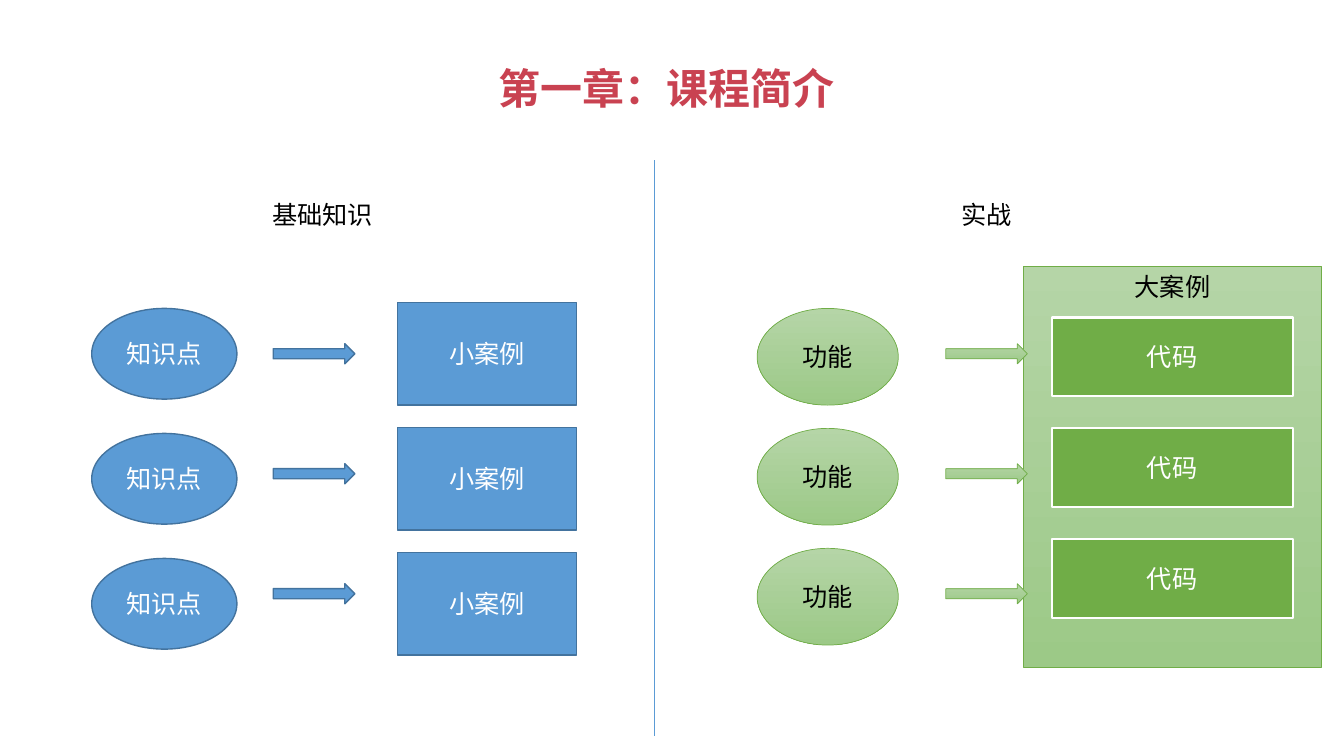
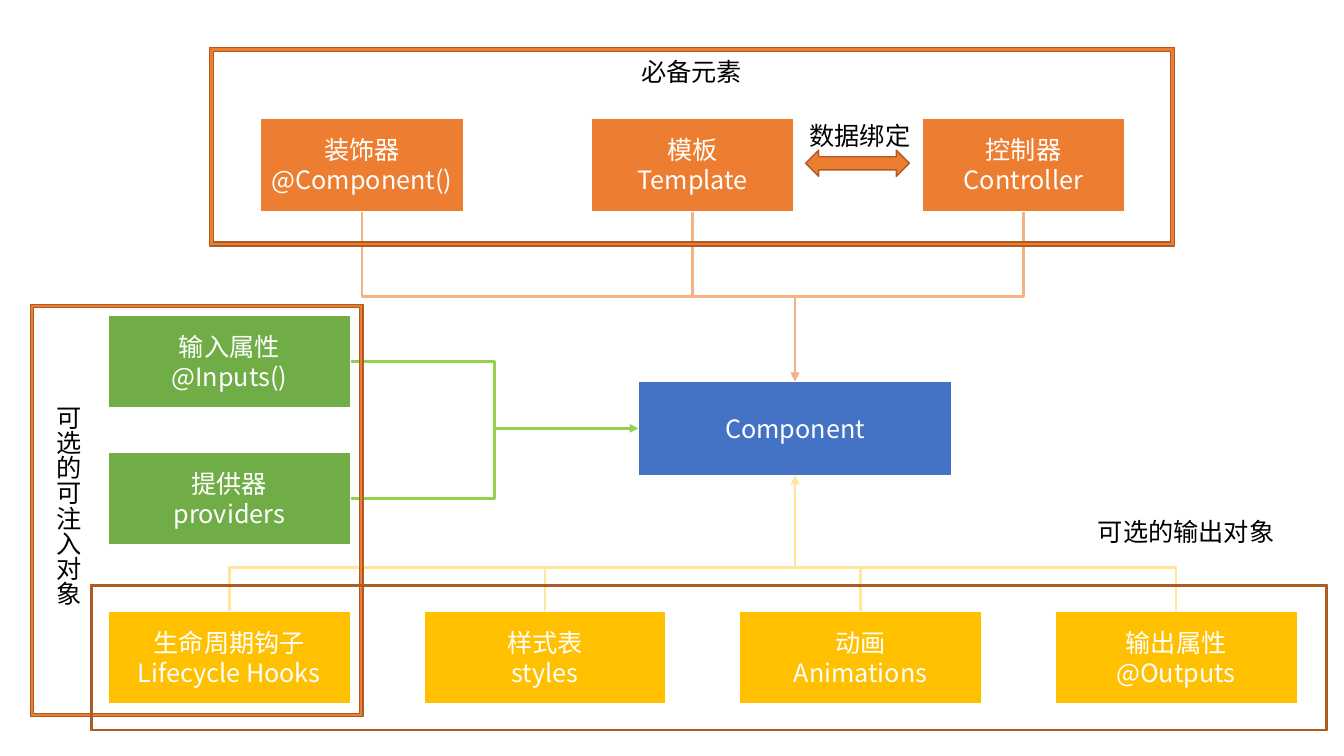
"""Build a course introduction slide and a component structure slide."""
import pptx
import pptx.util
from lxml import etree
from pptx.dml.color import RGBColor
from pptx.enum.shapes import MSO_CONNECTOR, MSO_SHAPE
from pptx.enum.text import MSO_ANCHOR, PP_ALIGN
from pptx.oxml.ns import qn

PX = 9144
FONT = "Noto Sans CJK SC"
TITLE_ONLY, BLANK = 5, 6
TOP, LEFT, BOTTOM, RIGHT = range(4)

WHITE = RGBColor(0xFF, 0xFF, 0xFF)
BLACK = RGBColor(0x00, 0x00, 0x00)
TITLE_RED = RGBColor(0xC9, 0x42, 0x51)
BLUE = RGBColor(0x5B, 0x9B, 0xD5)
BLUE_EDGE = RGBColor(0x43, 0x73, 0x9E)
ROYAL = RGBColor(0x44, 0x72, 0xC4)
GREEN = RGBColor(0x70, 0xAD, 0x47)
PALE_GREEN = (RGBColor(0xB5, 0xD5, 0xA7), RGBColor(0x9C, 0xC9, 0x87))
LIME = RGBColor(0x92, 0xD0, 0x50)
GOLD = RGBColor(0xFF, 0xC0, 0x00)
PALE_GOLD = RGBColor(0xFF, 0xE6, 0x99)
ORANGE = RGBColor(0xED, 0x7D, 0x31)
ORANGE_EDGE = RGBColor(0xAF, 0x5C, 0x24)
PALE_ORANGE = RGBColor(0xF4, 0xB1, 0x83)

BLUE_STYLE = (BLUE, BLUE_EDGE, 1, WHITE)
GRADIENT_STYLE = (PALE_GREEN, GREEN, 0.5, BLACK)
CODE_STYLE = (GREEN, WHITE, 1.5, WHITE)
ORANGE_STYLE = (ORANGE, ORANGE_EDGE, 1, WHITE)

TITLE = ("第一章：课程简介", (483, 57, 357, 61))
DIVIDER = (649, 159, 649, 730)
HEADINGS = [("基础知识", (260, 193, 121, 40)), ("实战", (944, 193, 71, 40))]
CASE_PANEL = ("大案例", (1015, 264, 296, 398))
ROWS = 3
COLUMNS = [
    (MSO_SHAPE.OVAL, "知识点", (91, 306, 144, 90), 124, BLUE_STYLE),
    (MSO_SHAPE.RECTANGLE, "小案例", (394, 300, 178, 102), 124, BLUE_STYLE),
    (MSO_SHAPE.RIGHT_ARROW, "", (271, 341, 81, 20), 119, BLUE_STYLE),
    (MSO_SHAPE.OVAL, "功能", (751, 306, 140, 96), 119, GRADIENT_STYLE),
    (MSO_SHAPE.RECTANGLE, "代码", (1043, 315, 239, 78), 110, CODE_STYLE),
    (MSO_SHAPE.RIGHT_ARROW, "", (938, 341, 81, 20), 119, GRADIENT_STYLE),
]

COMPONENT = ("Component", (633, 378, 311, 94))
GROUPS = [
    {"texts": ["输入属性\n@Inputs()", "提供器\nproviders"],
     "first": (107, 312, 241, 93), "step": (0, 136), "fill": GREEN,
     "line": LIME, "sites": (RIGHT, LEFT), "bend": 0.5},
    {"texts": ["生命周期钩子\nLifecycle Hooks", "样式表\nstyles",
               "动画\nAnimations", "输出属性\n@Outputs"],
     "first": (107, 606, 241, 93), "step": (313, 0), "fill": GOLD,
     "line": PALE_GOLD, "sites": (BOTTOM, TOP)[::-1], "bend": 0.32},
    {"texts": ["装饰器\n@Component()", "模板\nTemplate", "控制器\nController"],
     "first": (258, 117, 202, 93), "step": (328, 0), "fill": ORANGE,
     "line": PALE_ORANGE, "sites": (BOTTOM, TOP), "bend": 0.5},
]
FRAMES = [((30, 302, 330, 409), 0.01), ((90, 580, 1226, 145), 0.01),
          ((208, 47, 957, 197), 0.02)]
BINDING_ARROW = (799, 149, 103, 26)
LABELS = [("必备元素", (626, 51, 121, 40), False),
          ("数据绑定", (793, 114, 121, 40), False),
          ("可选的输出对象", (1079, 507, 197, 40), False),
          ("可选的可注入对象", (38, 392, 50, 212), True)]


def to_emu(box):
    return [value * PX for value in box]


def write(frame, text, color, size=18, bold=False, align=PP_ALIGN.CENTER):
    for index, line in enumerate(text.split("\n")):
        paragraph = frame.paragraphs[0] if index == 0 else frame.add_paragraph()
        paragraph.alignment = align
        run = paragraph.add_run()
        run.text = line
        run.font.size = pptx.util.Pt(size)
        run.font.bold = bold
        run.font.color.rgb = color
        run.font.name = FONT
        east_asian = etree.SubElement(run.font._element, qn("a:ea"))
        east_asian.set("typeface", FONT)


def add_label(slide, text, box, vertical=False):
    frame = slide.shapes.add_textbox(*to_emu(box)).text_frame
    frame.word_wrap = False
    if vertical:
        frame._txBody.bodyPr.set("vert", "eaVert")
    write(frame, text, BLACK, align=PP_ALIGN.LEFT)


def add_block(slide, kind, text, box, style, anchor=MSO_ANCHOR.MIDDLE):
    fill, edge, width, color = style
    shape = slide.shapes.add_shape(kind, *to_emu(box))
    shape.shadow.inherit = False
    if isinstance(fill, RGBColor):
        shape.fill.solid()
        shape.fill.fore_color.rgb = fill
    else:
        shape.fill.gradient()
        shape.fill.gradient_angle = 270
        for stop, stop_color in zip(shape.fill.gradient_stops, fill):
            stop.color.rgb = stop_color
    shape.line.color.rgb = edge
    shape.line.width = pptx.util.Pt(width)
    if text:
        shape.text_frame.word_wrap = True
        shape.text_frame.vertical_anchor = anchor
        write(shape.text_frame, text, color)
    return shape


def add_line(slide, kind, ends, color, width):
    connector = slide.shapes.add_connector(kind, *to_emu(ends))
    connector.line.color.rgb = color
    connector.line.width = pptx.util.Pt(width)
    etree.SubElement(connector._element.spPr, qn("a:effectLst"))
    return connector


def turn_upright(connector):
    across = connector.end_x - connector.begin_x
    down = connector.end_y - connector.begin_y
    center_x = (connector.begin_x + connector.end_x) // 2
    center_y = (connector.begin_y + connector.end_y) // 2
    connector.width, connector.height = abs(down), abs(across)
    connector.left = center_x - abs(down) // 2
    connector.top = center_y - abs(across) // 2
    transform = connector._element.spPr.find(qn("a:xfrm"))
    transform.set("rot", "5400000")
    transform.set("flipH", str(int(down < 0)))
    transform.set("flipV", str(int(across > 0)))


def join(slide, source, target, group):
    connector = add_line(slide, MSO_CONNECTOR.ELBOW, (0, 0, 1, 1), group["line"], 2)
    begin_site, end_site = group["sites"]
    connector.begin_connect(source, begin_site)
    connector.end_connect(target, end_site)
    if begin_site in (TOP, BOTTOM):
        turn_upright(connector)
    guides = connector._element.spPr.find(qn("a:prstGeom")).get_or_add_avLst()
    guide = etree.SubElement(guides, qn("a:gd"))
    guide.set("name", "adj1")
    guide.set("fmla", f"val {round(group['bend'] * 100000)}")
    arrow = etree.SubElement(connector.line._get_or_add_ln(), qn("a:tailEnd"))
    arrow.set("type", "triangle")


def build_course(presentation):
    slide = presentation.slides.add_slide(presentation.slide_layouts[TITLE_ONLY])
    text, box = TITLE
    title = slide.shapes.title
    title.left, title.top, title.width, title.height = to_emu(box)
    title.text_frame.word_wrap = False
    title.text_frame.vertical_anchor = MSO_ANCHOR.TOP
    write(title.text_frame, text, TITLE_RED, 30, True)
    add_line(slide, MSO_CONNECTOR.STRAIGHT, DIVIDER, BLUE, 0.5)
    for heading in HEADINGS:
        add_label(slide, *heading)
    add_block(slide, MSO_SHAPE.RECTANGLE, *CASE_PANEL, GRADIENT_STYLE, MSO_ANCHOR.TOP)
    for kind, text, (left, top, width, height), pitch, style in COLUMNS:
        for row in range(ROWS):
            box = (left, top + row * pitch, width, height)
            add_block(slide, kind, text, box, style)


def build_component(presentation):
    slide = presentation.slides.add_slide(presentation.slide_layouts[BLANK])
    component = add_block(slide, MSO_SHAPE.RECTANGLE, *COMPONENT,
                          (ROYAL, WHITE, 1.5, WHITE))
    for group in GROUPS:
        left, top, width, height = group["first"]
        step_x, step_y = group["step"]
        for index, text in enumerate(group["texts"]):
            box = (left + index * step_x, top + index * step_y, width, height)
            part = add_block(slide, MSO_SHAPE.RECTANGLE, text, box,
                             (group["fill"], WHITE, 1.5, WHITE))
            join(slide, part, component, group)
    for box, thickness in FRAMES:
        frame = add_block(slide, MSO_SHAPE.FRAME, "", box, ORANGE_STYLE)
        frame.adjustments[0] = thickness
    add_block(slide, MSO_SHAPE.LEFT_RIGHT_ARROW, "", BINDING_ARROW, ORANGE_STYLE)
    for label in LABELS:
        add_label(slide, *label)


def main():
    presentation = pptx.Presentation()
    presentation.slide_width, presentation.slide_height = to_emu((1333, 750))
    build_course(presentation)
    build_component(presentation)
    presentation.save("out.pptx")


if __name__ == "__main__":
    main()
